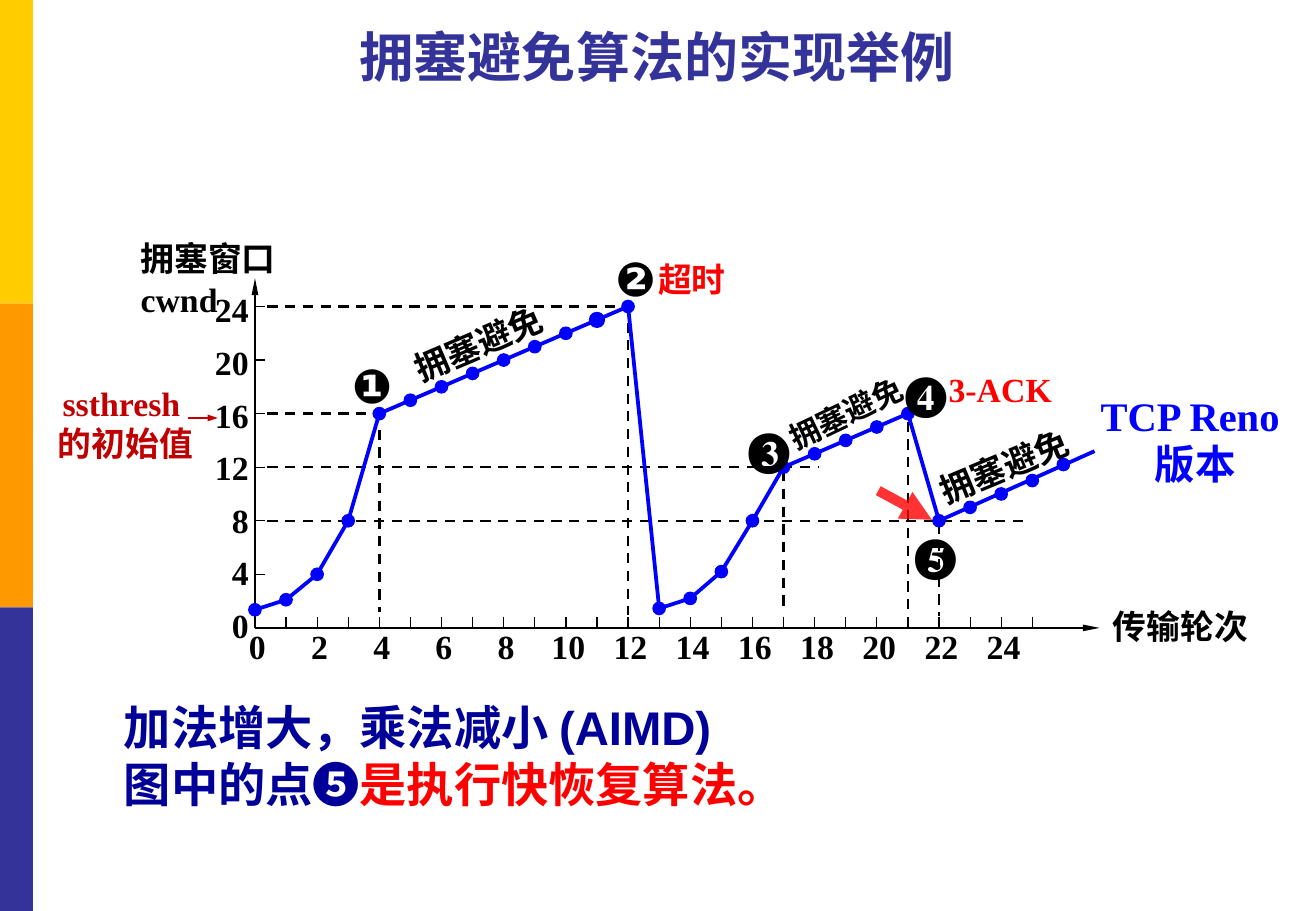
from lxml import etree
from pptx import Presentation
from pptx.dml.color import RGBColor
from pptx.enum.dml import MSO_LINE
from pptx.enum.shapes import MSO_CONNECTOR, MSO_SHAPE
from pptx.enum.text import MSO_ANCHOR, PP_ALIGN
from pptx.oxml.ns import qn
from pptx.util import Cm, Pt

LEFT, MID, RIGHT = PP_ALIGN.LEFT, PP_ALIGN.CENTER, PP_ALIGN.RIGHT
TOP, HALF = MSO_ANCHOR.TOP, MSO_ANCHOR.MIDDLE
DASH, LINE = MSO_LINE.DASH, MSO_CONNECTOR.STRAIGHT
RECT, OVAL = MSO_SHAPE.RECTANGLE, MSO_SHAPE.OVAL
TIMES, ARIAL, ROBOTO = "Times New Roman", "Arial", "Roboto"

HUES = {"yellow": "FFCC00", "orange": "FF9900", "indigo": "333399", "black": "000000",
        "blue": "0000FF", "red": "FF0000", "wine": "C00000", "navy": "000099"}

WIDTH, HEIGHT = 27.51, 19.05
BANDS = ["yellow", "orange", "indigo"]

# Transmission round and window size, one list for each phase
FIRST = [(0, 1.35), (1, 2.1), (2, 4), (3, 8), *((n, n + 12) for n in range(4, 13))]
SECOND = [(13, 1.45), (14, 2.2), (15, 4.2), (16, 8), *((n, n - 5) for n in range(17, 22))]
THIRD = [*((n, n - 14) for n in range(22, 26)), (26, 12.2)]
END = (27, 13.2)
BIG = 11  # round with the larger dot
LEVELS = [(24, 0.4, 12), (16, 0.4, 4), (12, 0.4, 18.1), (8, 0.4, 24.7)]  # window, from, to
DROPS = [(4, 14.8, 1.2), (12, 22.8, 1), (17, 11.7, 1.3),
         (21, 15.4, 0.4), (22, 7.8, 0.9)]  # round, from, to

# Box (left, top, width, height), lines of (text, colour) runs, format
TEXTS = [
    ((1.17, 0.43, 25.4, 1.47), [[("拥塞避免算法的实现举例 ", "indigo")]],
     {"size": 32, "font": ROBOTO, "align": MID, "anchor": HALF, "wrap": True}),
    ((13.51, 5.28, 3.23, 1.12), [[("超时", "red")]], {"wrap": True}),
    ((23.01, 12.55, 3.38, 1.12), [[("传输轮次", "black")]], {}),
    ((2.69, 4.85, 4, 2), [[("拥塞窗口 cwnd", "black")]], {"wrap": True}),
    ((19.58, 7.59, 3.28, 1.12), [[("3-ACK", "red")]], {"wrap": True}),
    ((22.71, 8.05, 4.55, 2.31), [[("TCP Reno ", "blue")], [("版本", "blue")]],
     {"size": 24, "align": MID}),
    ((0.76, 7.87, 3.56, 1.96), [[("ssthresh", "wine")], [(" 的初始值", "wine")]],
     {"align": MID}),
    ((8.31, 6.63, 3.38, 1.12), [[("拥塞避免", "black")]], {"align": MID, "turn": 336.8}),
    ((16.13, 8.13, 3.1, 1.02), [[("拥塞避免", "black")]],
     {"size": 18, "align": MID, "turn": 334.5}),
    ((19.3, 9.19, 3.38, 1.12), [[("拥塞避免", "black")]], {"align": MID, "turn": 337.4}),
    ((7.11, 7.54, 1.22, 1.02), [[("❶", "black")]],
     {"size": 28, "font": ARIAL, "anchor": HALF}),
    ((12.62, 5.38, 1.02, 0.84), [[("❷", "black")]],
     {"size": 28, "font": ARIAL, "anchor": HALF}),
    ((15.39, 8.64, 1.4, 1.45), [[("❸", "black")]], {"size": 28}),
    ((18.67, 7.47, 1.4, 1.45), [[("❹", "black")]], {"size": 28}),
    ((18.87, 10.85, 1.4, 1.45), [[("❺", "black")]], {"size": 28}),
    ((2.34, 14.48, 24.05, 2.64),
     [[("加法增大，乘法减小 (AIMD)", "navy")],
      [("图中的点❺", "navy"), ("是执行快恢复算法。", "red")]],
     {"size": 28, "font": ARIAL, "wrap": True}),
]

LEFT0, BASE, STEP, UNIT = 5.33, 13.13, 0.65, 0.28
TICK, DOT = 0.22, 0.26
TAG = 2 * STEP  # width of an axis label

deck = Presentation()
deck.slide_width, deck.slide_height = Cm(WIDTH), Cm(HEIGHT)
slide = deck.slides.add_slide(deck.slide_layouts[6])
shapes = slide.shapes


def tone(name):
    return RGBColor.from_string(HUES[name])


def place(num, win):
    """Slide position in cm of a round and a window size."""
    return LEFT0 + num * STEP, BASE - win * UNIT


def write(box, lines, size=20, font=TIMES, align=LEFT, anchor=TOP, wrap=False, turn=0):
    shape = shapes.add_textbox(*map(Cm, box))
    shape.rotation = turn
    frame = shape.text_frame
    frame.word_wrap, frame.vertical_anchor = wrap, anchor
    for i, runs in enumerate(lines):
        para = frame.add_paragraph() if i else frame.paragraphs[0]
        para.alignment = align
        for text, hue in runs:
            run = para.add_run()
            run.text = text
            look = {"size": Pt(size), "name": font, "bold": True}
            for key, val in look.items():
                setattr(run.font, key, val)
            run.font.color.rgb = tone(hue)


def draw(start, end, hue="black", width=0.75, dash=None, head=None, alpha=None):
    """Straight line; head is the (width, length) of an arrowhead at its end."""
    link = shapes.add_connector(LINE, *map(Cm, (*start, *end)))
    link.line.color.rgb = tone(hue)
    link.line.width = Pt(width)
    if dash:
        link.line.dash_style = dash
    props = link._element.spPr
    ln = props.find(qn("a:ln"))
    if head:
        etree.SubElement(ln, qn("a:tailEnd"), type="triangle", w=head[0], len=head[1])
    if alpha:
        etree.SubElement(ln.find(".//" + qn("a:srgbClr")), qn("a:alpha"), val=str(alpha * 1000))
    etree.SubElement(props, qn("a:effectLst"))


def trace(points):
    """Open blue outline through the points of a phase."""
    track = [tuple(map(Cm, place(*point))) for point in points]
    pen = shapes.build_freeform(*track[0])
    pen.add_line_segments(track[1:], close=False)
    curve = pen.convert_to_shape()
    curve.shadow.inherit = False
    curve.fill.background()
    curve.line.color.rgb = tone("blue")
    curve.line.width = Pt(2.25)


def solid(kind, box, hue, edge=0):
    shape = shapes.add_shape(kind, *map(Cm, box))
    shape.shadow.inherit = False
    shape.fill.solid()
    shape.fill.fore_color.rgb = tone(hue)
    if edge:
        shape.line.color.rgb = tone(hue)
        shape.line.width = Pt(edge)
    else:
        shape.line.fill.background()


for i, hue in enumerate(BANDS):
    solid(RECT, (0, i * HEIGHT / 3, 0.69, HEIGHT / 3), hue)

# Axes, ticks and labels
origin = place(0, 0)
draw(origin, (22.99, BASE), width=1.5, head=("sm", "lg"))
draw(origin, (LEFT0, 5.82), width=1.5, head=("sm", "lg"))
for num in range(1, 26):
    x, y = place(num, 0)
    draw((x, y - TICK), (x, y))
for num in range(0, 25, 2):
    x = place(num, 0)[0] + 0.05
    write((x - TAG / 2, 12.97, TAG, 1.12), [[(str(num), "black")]], align=MID)
for win in range(0, 25, 4):
    if win:
        x, y = place(0, win)
        draw((x, y), (x + TICK, y))
    write((5.45 - TAG, 12.52 - win * 0.275, TAG, 1.12), [[(str(win), "black")]], align=RIGHT)

# Guides
for win, start, end in LEVELS:
    draw(place(start, win), place(end, win), width=1.5, dash=DASH)
for num, start, end in DROPS:
    draw(place(num, start), place(num, end), width=1.5, dash=DASH)

# Window curve
trace(FIRST)
trace(SECOND)
for start, end in [(FIRST[-1], SECOND[0]), (SECOND[-1], THIRD[0]), (THIRD[0], END)]:
    draw(place(*start), place(*end), "blue", 2.25)
for num, win in FIRST + SECOND + THIRD:
    x, y = place(num, win)
    solid(OVAL, (x - DOT / 2, y - DOT / 2, DOT, DOT), "blue", 2.25 if num == BIG else 0.75)

draw((3.94, 8.74), (4.55, 8.74), "wine", 1.5, head=("sm", "med"))
draw((18.36, 10.26), (19.48, 10.87), "red", 6, head=("med", "med"), alpha=80)
for box, lines, form in TEXTS:
    write(box, lines, **form)

deck.save("out.pptx")
